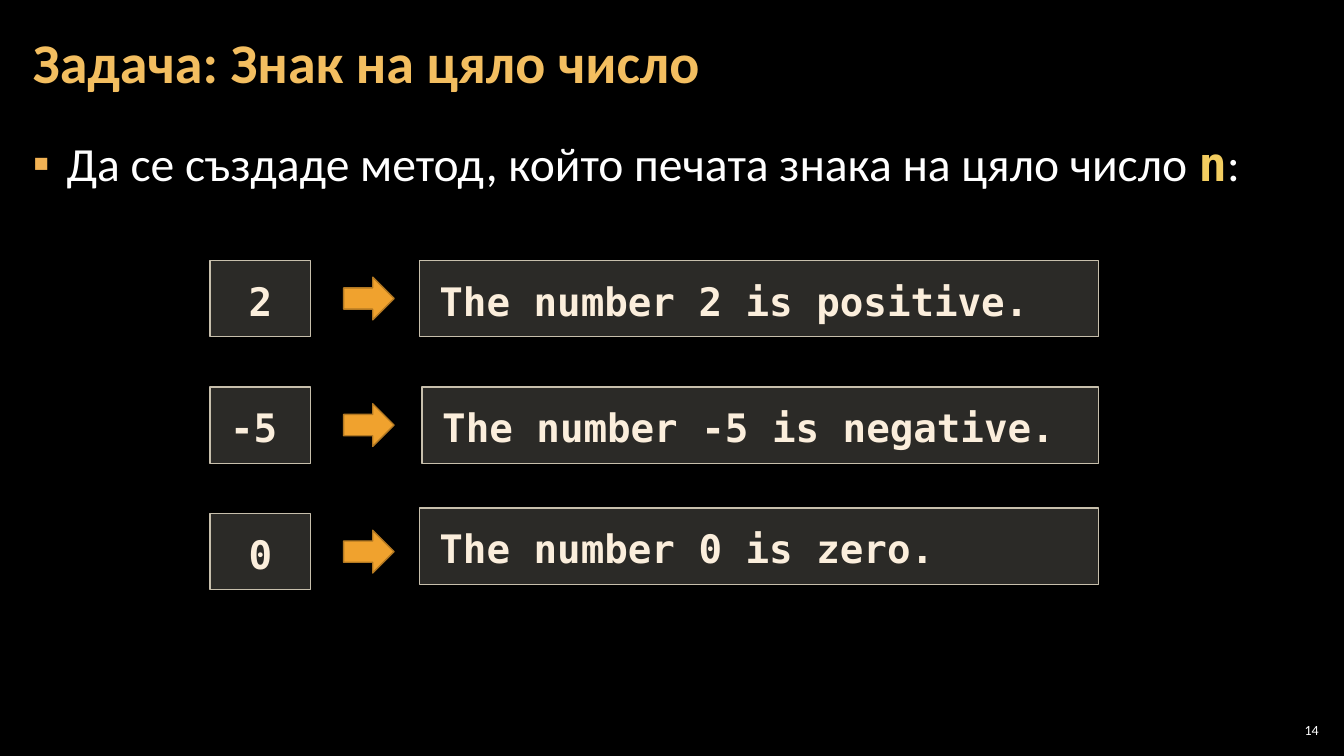
"""Build a slide showing a number-sign task with three sample inputs and outputs."""
from dataclasses import dataclass

import lxml.etree
import pptx
import pptx.dml.color
import pptx.enum.shapes
import pptx.enum.text
import pptx.oxml.ns
import pptx.util

Pt = pptx.util.Pt
ShapeKind = pptx.enum.shapes.MSO_SHAPE
Align = pptx.enum.text.PP_ALIGN
Anchor = pptx.enum.text.MSO_ANCHOR
AutoSize = pptx.enum.text.MSO_AUTO_SIZE
qn = pptx.oxml.ns.qn
rgb = pptx.dml.color.RGBColor.from_string


@dataclass(frozen=True)
class Theme:
    background: str = "000000"
    title: str = "F3BE60"
    body: str = "FFFFFF"
    bullet: str = "F2B254"
    variable: str = "F3CD60"
    code: str = "FBEEDC"
    box_fill: str = "D9D5C7"
    box_line: str = "C7BFAC"
    arrow_fill: str = "F0A22E"
    arrow_line: str = "B27822"
    text_font: str = "Calibri"
    code_font: str = "DejaVu Sans Mono"
    title_size: int = 40
    body_size: int = 34
    code_size: int = 28
    number_size: int = 10


theme = Theme()


def set_text(shape, parts, size, align, anchor, margins, spacing=1.0):
    """Write one paragraph of (text, font, colour, bold) parts and return it."""
    frame = shape.text_frame
    frame.word_wrap = True
    frame.auto_size = AutoSize.NONE
    frame.vertical_anchor = anchor
    frame.margin_left = frame.margin_right = Pt(margins[0])
    frame.margin_top = frame.margin_bottom = Pt(margins[1])
    paragraph = frame.paragraphs[0]
    paragraph.alignment = align
    paragraph.line_spacing = spacing
    paragraph.space_before = Pt(0)
    for text, font, color, bold in parts:
        run = paragraph.add_run()
        run.text = text
        run.font.name = font
        run.font.size = Pt(size)
        run.font.bold = bold
        run.font.color.rgb = rgb(color)
    return paragraph


def add_block(kind, left, top, width, height, fill, line):
    """Add a filled, outlined shape without a shadow."""
    shape = slide.shapes.add_shape(kind, Pt(left), Pt(top), Pt(width), Pt(height))
    shape.shadow.inherit = False
    shape.fill.solid()
    shape.fill.fore_color.rgb = rgb(fill)
    shape.line.color.rgb = rgb(line)
    shape.line.width = Pt(1)
    return shape


presentation = pptx.Presentation()
presentation.slide_width = Pt(960)
presentation.slide_height = Pt(540)
slide = presentation.slides.add_slide(presentation.slide_layouts[1])
slide.background.fill.solid()
slide.background.fill.fore_color.rgb = rgb(theme.background)

title = slide.shapes.title
title.left, title.top, title.width, title.height = Pt(15), Pt(3), Pt(930), Pt(87)
set_text(title, [("Задача: Знак на цяло число", theme.text_font, theme.title, True)],
         theme.title_size, Align.LEFT, Anchor.MIDDLE, (8.5, 3), 0.9)

body = slide.placeholders[1]
body.left, body.top, body.width, body.height = Pt(15), Pt(91), Pt(930), Pt(438)
task = set_text(body, [
    ("Да се създаде метод, който печата знака на цяло число ",
     theme.text_font, theme.body, False),
    ("n", theme.code_font, theme.variable, True),
    (":", theme.text_font, theme.body, False),
], theme.body_size, Align.LEFT, Anchor.TOP, (8.5, 3), 1.05)
task.space_after = Pt(6)
properties = task._p.get_or_add_pPr()
properties.set("marL", str(Pt(24)))
properties.set("indent", str(-Pt(24)))
bullet_color = lxml.etree.SubElement(properties, qn("a:buClr"))
lxml.etree.SubElement(bullet_color, qn("a:srgbClr"), val=theme.bullet)
lxml.etree.SubElement(properties, qn("a:buFont"), typeface=theme.text_font)
lxml.etree.SubElement(properties, qn("a:buChar"), char="▪")

box_height = 54.5
first_top = 186
row_pitch = 90.4
result_right = 784.5
examples = [
    ("2", Align.CENTER, "The number 2 is positive.", 299.5, 0),
    ("-5", Align.LEFT, "The number -5 is negative.", 301.5, 0),
    ("0", Align.CENTER, "The number 0 is zero.", 299.5, -4),
]
for row, (value, value_align, message, result_left, result_shift) in enumerate(examples):
    top = first_top + row * row_pitch
    boxes = [
        (value, value_align, 150, top, 72),
        (message, Align.LEFT, result_left, top + result_shift, result_right - result_left),
    ]
    for text, align, left, box_top, width in boxes:
        box = add_block(ShapeKind.RECTANGLE, left, box_top, width, box_height,
                        theme.box_fill, theme.box_line)
        fill_color = box.element.spPr.find(qn("a:solidFill")).find(qn("a:srgbClr"))
        lxml.etree.SubElement(fill_color, qn("a:alpha"), val="20000")
        set_text(box, [(text, theme.code_font, theme.code, True)],
                 theme.code_size, align, Anchor.TOP, (14.4, 8.5), 1.1)
    add_block(ShapeKind.RIGHT_ARROW, 245.5, top + 12, 36, 30.5,
              theme.arrow_fill, theme.arrow_line)

slide_number = slide.shapes.add_textbox(Pt(911), Pt(514), Pt(34), Pt(15))
set_text(slide_number, [("14", theme.text_font, theme.body, False)],
         theme.number_size, Align.RIGHT, Anchor.MIDDLE, (3, 3))

presentation.save("out.pptx")
